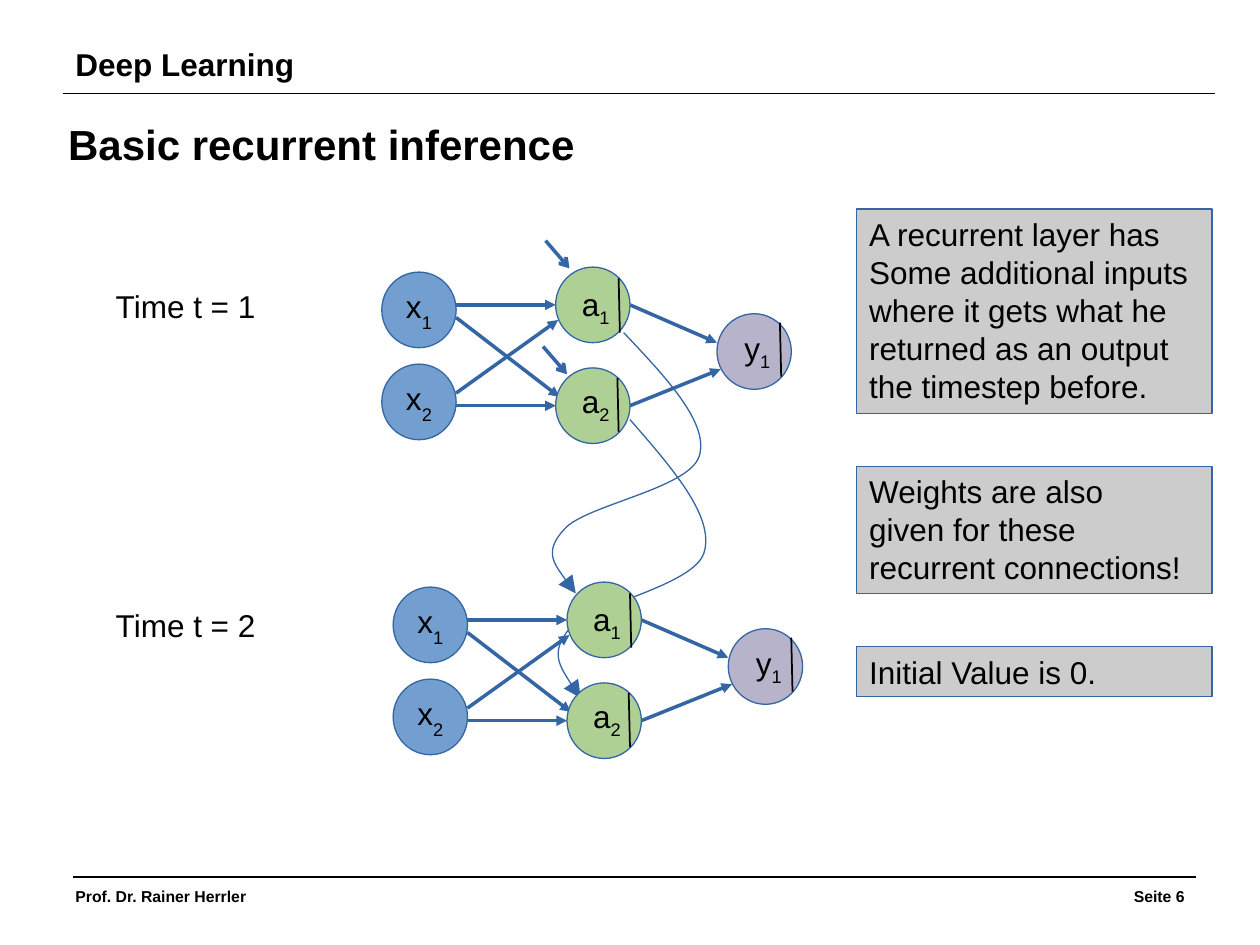
from dataclasses import dataclass

from lxml import etree
from pptx import Presentation
from pptx import util as u
from pptx.dml import color
from pptx.enum import shapes, text
from pptx.oxml import ns


@dataclass(frozen=True)
class Theme:
    """Colours, font and type sizes of the slide."""
    ink: str = "000000"
    edge: str = "3465A4"
    input: str = "729FCF"
    hidden: str = "AFD095"
    output: str = "B7B3CA"
    note: str = "CCCCCC"
    font: str = "Arial"
    title: int = 24
    body: int = 18
    footer: int = 9


THEME = Theme()
NODE_SIZE = (0.59, 0.6)
LABEL_SIZE = (0.5, 0.59)
NODES = [
    ("x", "1", 3.03, 2.16, THEME.input),
    ("x", "2", 3.03, 2.89, THEME.input),
    ("y", "1", 5.69, 2.49, THEME.output),
    ("a", "1", 4.41, 2.12, THEME.hidden),
    ("a", "2", 4.41, 2.92, THEME.hidden),
]
LABELS = [("y", "1", 5.81, 2.56), ("a", "1", 4.52, 2.21), ("a", "2", 4.52, 2.98)]
WEIGHTS = [
    (3.62, 3.12, 4.43, 2.54),
    (3.62, 2.52, 4.44, 3.15),
    (3.62, 3.22, 4.41, 3.22),
    (3.62, 2.42, 4.41, 2.42),
    (5, 2.42, 5.69, 2.72),
    (5, 3.22, 5.72, 2.93),
]
ACTIVATIONS = [(4.91, 2.21), (4.9, 3), (6.19, 2.56)]
INITIAL_INPUTS = [(4.33, 1.91), (4.31, 2.75)]
RECURRENT_CURVES = [
    [(5, 3.33), (5.34, 3.72), (5.67, 4.1), (5.59, 4.38), (5.52, 4.65),
     (4.68, 4.8), (4.52, 4.99), (4.36, 5.18), (4.48, 5.36), (4.61, 5.54)],
    [(4.95, 2.64), (5.29, 3), (5.63, 3.36), (5.55, 3.62), (5.47, 3.88),
     (4.64, 4.01), (4.48, 4.2), (4.31, 4.38), (4.44, 4.54), (4.57, 4.71)],
]
NOTES = [
    (1.66, 1.62, ["A recurrent layer has", "Some additional inputs",
                  "where it gets what he", "returned as an output",
                  "the timestep before."]),
    (3.7, 1.01, ["Weights are also", "given for these", "recurrent connections!"]),
    (5.13, 0.4, ["Initial Value is 0."]),
]


def apply(target, **values):
    """Set each value as an attribute of the target."""
    for name, value in values.items():
        setattr(target, name, value)


def inches(*lengths):
    """Convert lengths to inches."""
    return [u.Inches(length) for length in lengths]


def style_line(line, hue, width, head=None, head_size="med"):
    """Colour a line and give its end an arrowhead if asked."""
    line.color.rgb = color.RGBColor.from_string(hue)
    line.width = u.Pt(width)
    if head:
        etree.SubElement(line._get_or_add_ln(), ns.qn("a:tailEnd"),
                         type=head, w=head_size, len=head_size)


def write(shape, lines, size=THEME.body, bold=False, align=text.PP_ALIGN.LEFT,
          wrap=True, anchor=text.MSO_ANCHOR.TOP, subscript=None, baseline=-25):
    """Fill a shape with paragraphs and an optional subscript."""
    frame = shape.text_frame
    apply(frame, word_wrap=wrap, vertical_anchor=anchor,
          auto_size=text.MSO_AUTO_SIZE.NONE)
    frame.text = "\n".join(lines)
    if subscript:
        run = frame.paragraphs[0].add_run()
        run.text = subscript
        run._r.get_or_add_rPr().set("baseline", str(baseline * 1000))
    for paragraph in frame.paragraphs:
        paragraph.alignment = align
        for run in paragraph.runs:
            apply(run.font, name=THEME.font, size=u.Pt(size), bold=bold)
            run.font.color.rgb = color.RGBColor.from_string(THEME.ink)


def add_text(container, box, words, **formats):
    """Add a one-line text box."""
    write(container.add_textbox(*inches(*box)), [words], **formats)


def add_line(container, ends, hue=THEME.edge, width=0, head=None):
    """Add a straight line or arrow without shadow."""
    connector = container.add_connector(shapes.MSO_CONNECTOR.STRAIGHT, *inches(*ends))
    style_line(connector.line, hue, width, head)
    etree.SubElement(connector._element.spPr, ns.qn("a:effectLst"))


def add_block(container, kind, box, fill, width):
    """Add a filled preset shape with a blue outline."""
    shape = container.add_shape(kind, *inches(*box))
    shape.shadow.inherit = False
    shape.fill.solid()
    shape.fill.fore_color.rgb = color.RGBColor.from_string(fill)
    style_line(shape.line, THEME.edge, width)
    return shape


def add_curve(container, points):
    """Add an open Bezier arrow through anchors and control points."""
    start, *rest = [inches(*point) for point in points]
    builder = container.build_freeform(*start)
    builder.add_line_segments(rest, close=False)
    shape = builder.convert_to_shape()
    shape.shadow.inherit = False
    shape.fill.background()
    style_line(shape.line, THEME.edge, 0.75, "triangle", "lg")
    outline = shape._element.find(".//" + ns.qn("a:path"))
    segments = outline.findall(ns.qn("a:lnTo"))
    for first in range(0, len(segments), 3):
        cubic = etree.SubElement(outline, ns.qn("a:cubicBezTo"))
        for segment in segments[first:first + 3]:
            cubic.append(segment[0])
            outline.remove(segment)


def add_network(container, dx=0, dy=0):
    """Draw one time step of the network, shifted by dx and dy."""
    for left, top, right, bottom in WEIGHTS:
        add_line(container, (left + dx, top + dy, right + dx, bottom + dy),
                 head="triangle")
    for letter, index, left, top, fill in NODES:
        node = add_block(container, shapes.MSO_SHAPE.OVAL,
                         (left + dx, top + dy, *NODE_SIZE), fill, 0)
        if letter == "x":
            write(node, [letter], align=text.PP_ALIGN.CENTER, wrap=False,
                  anchor=text.MSO_ANCHOR.MIDDLE, subscript=index, baseline=-33)
    for letter, index, left, top in LABELS:
        add_text(container, (left + dx, top + dy, *LABEL_SIZE), letter,
                 subscript=index)
    for left, top in ACTIVATIONS:
        add_line(container, (left + dx, top + dy, left + dx + 0.01, top + dy + 0.43),
                 THEME.ink, 1)


def add_frame(slide):
    """Add the header, the footer, their rules and the title."""
    canvas = slide.shapes
    add_line(canvas, (0.5, 0.74, 9.64, 0.74), THEME.ink, 0.75)
    add_line(canvas, (0.58, 6.96, 9.49, 6.96), THEME.ink, 0.75)
    add_text(canvas, (0.5, 0.31, 8.81, 0.4), "Deep Learning", bold=True)
    add_text(canvas, (0.5, 6.99, 2.58, 0.25), "Prof. Dr. Rainer Herrler",
             size=THEME.footer, bold=True)
    add_text(canvas, (6.92, 6.99, 2.58, 0.25), "Seite 6", size=THEME.footer,
             bold=True, align=text.PP_ALIGN.RIGHT)
    left, top, width, height = inches(0.44, 0.89, 4.36, 0.5)
    apply(canvas.title, left=left, top=top, width=width, height=height)
    write(canvas.title, ["Basic recurrent inference"], size=THEME.title, bold=True)


def main():
    """Build and save the slide."""
    presentation = Presentation()
    apply(presentation, slide_width=u.Inches(10), slide_height=u.Inches(7.5))
    slide = presentation.slides.add_slide(presentation.slide_layouts[5])
    canvas = slide.shapes
    add_frame(slide)
    recurrence = canvas.add_group_shape().shapes
    for points in RECURRENT_CURVES:
        add_curve(recurrence, points)
    add_network(canvas)
    for left, top in INITIAL_INPUTS:
        add_line(canvas, (left, top, left + 0.19, top + 0.22), head="arrow")
    add_text(canvas, (0.82, 2.23, 1.32, 0.4), "Time t = 1", wrap=False)
    second_step = canvas.add_group_shape().shapes
    add_network(second_step, 0.09, 2.5)
    add_text(second_step, (0.82, 4.76, 1.32, 0.4), "Time t = 2", wrap=False)
    for top, height, lines in NOTES:
        note = add_block(canvas, shapes.MSO_SHAPE.RECTANGLE,
                         (6.8, top, 2.82, height), THEME.note, 0.75)
        write(note, lines)
    presentation.save("out.pptx")


if __name__ == "__main__":
    main()
